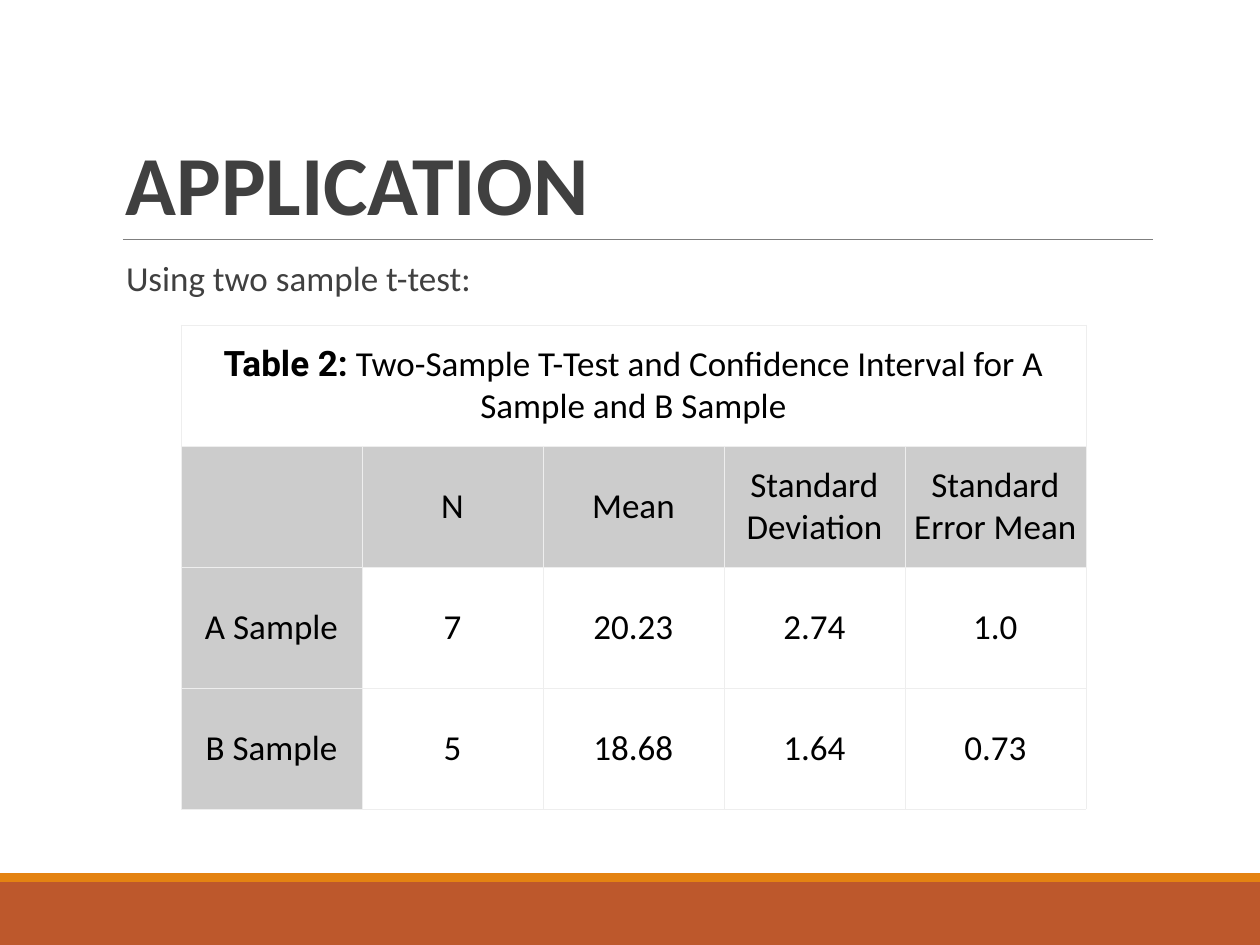
from dataclasses import dataclass
from typing import NamedTuple

from lxml.etree import SubElement
from pptx import Presentation
from pptx.dml.color import RGBColor as Rgb
from pptx.enum.shapes import MSO_CONNECTOR as Conn, MSO_SHAPE as Shape
from pptx.enum.text import MSO_ANCHOR as Anchor, MSO_AUTO_SIZE as Auto, PP_ALIGN as Align
from pptx.oxml.ns import qn
from pptx.util import Emu, Pt

SCALE = 914400 / 126


@dataclass(frozen=True)
class Theme:
    rust: str = "BD582C"
    amber: str = "E48312"
    rule: str = "7F7F7F"
    ink: str = "404040"
    black: str = "000000"
    head: str = "CCCCCC"
    grid: str = "EEEEEE"
    font: str = "Calibri"
    label: str = "Roboto"
    title: int = 48
    body: int = 20


class Box(NamedTuple):
    x: int
    y: int
    w: int
    h: int


class Bar(NamedTuple):
    box: Box
    color: str


THEME = Theme()
BARS = [
    Bar(Box(0, 882, 1260, 63), THEME.rust),
    Bar(Box(0, 873, 1260, 9), THEME.amber),
]
LABEL = "Table 2:"
CAPTION = " Two-Sample T-Test and Confidence Interval for A Sample and B Sample"
ROWS = [
    ["", "N", "Mean", "Standard Deviation", "Standard Error Mean"],
    ["A Sample", "7", "20.23", "2.74", "1.0"],
    ["B Sample", "5", "18.68", "1.64", "0.73"],
]
COL, ROW = 181, 121


def px(n: int) -> Emu:
    return Emu(round(n * SCALE))


def place(shape, box: Box) -> None:
    shape.left, shape.top, shape.width, shape.height = map(px, box)


def style(run, size: int, color: str, bold: bool = False, font: str = THEME.font) -> None:
    run.font.name, run.font.size, run.font.bold = font, Pt(size), bold
    run.font.color.rgb = Rgb.from_string(color)


def draw_bar(slide, bar: Bar) -> None:
    shape = slide.shapes.add_shape(Shape.RECTANGLE, *map(px, bar.box))
    shape.shadow.inherit = False
    shape.fill.solid()
    shape.fill.fore_color.rgb = Rgb.from_string(bar.color)
    shape.line.fill.background()


def draw_rule(slide, x: int, y: int, end: int) -> None:
    line = slide.shapes.add_connector(Conn.STRAIGHT, px(x), px(y), px(end), px(y))
    line.line.color.rgb = Rgb.from_string(THEME.rule)
    line.line.width = Pt(0.5)
    SubElement(line._element.spPr, qn("a:effectLst"))


def set_title(shape, text: str) -> None:
    place(shape, Box(113, 39, 1040, 200))
    frame = shape.text_frame
    frame.text = text
    frame.auto_size, frame.vertical_anchor = Auto.NONE, Anchor.BOTTOM
    para = frame.paragraphs[0]
    para.alignment, para.line_spacing = Align.LEFT, 0.85
    style(para.runs[0], THEME.title, THEME.ink, True)


def set_body(shape, text: str) -> None:
    place(shape, Box(113, 255, 1040, 554))
    frame = shape.text_frame
    frame.text = text
    frame.auto_size, frame.vertical_anchor = Auto.NONE, Anchor.TOP
    frame.margin_left = frame.margin_right = 0
    para = frame.paragraphs[0]
    para.line_spacing, para.space_before, para.space_after = 0.9, Pt(0), Pt(2)
    props = para._p.get_or_add_pPr()
    props.set("marL", str(px(13)))
    props.set("indent", str(px(-13)))
    tint = SubElement(props, qn("a:buClr"))
    SubElement(tint, qn("a:srgbClr"), val=THEME.amber)
    SubElement(props, qn("a:buChar"), char=" ")
    style(para.runs[0], THEME.body, THEME.ink)


def set_cell(cell, text: str, shade: bool) -> None:
    props = cell._tc.get_or_add_tcPr()
    for side in ("lnL", "lnR", "lnT", "lnB"):
        edge = SubElement(props, qn(f"a:{side}"), w=str(Pt(0.34)))
        fill = SubElement(edge, qn("a:solidFill"))
        SubElement(fill, qn("a:srgbClr"), val=THEME.grid)
    if shade:
        cell.fill.solid()
        cell.fill.fore_color.rgb = Rgb.from_string(THEME.head)
    else:
        cell.fill.background()
    cell.vertical_anchor = Anchor.MIDDLE
    cell.margin_left = cell.margin_right = px(3)
    cell.margin_top = cell.margin_bottom = px(6)
    cell.text_frame.text = text
    para = cell.text_frame.paragraphs[0]
    para.alignment = Align.CENTER
    for run in para.runs:
        style(run, THEME.body, THEME.black)


def draw_table(slide, x: int, y: int) -> None:
    cols, rows = len(ROWS[0]), len(ROWS) + 1
    box = Box(x, y, COL * cols, ROW * rows)
    table = slide.shapes.add_table(rows, cols, *map(px, box)).table
    table.first_row = table.horz_banding = False
    for col in table.columns:
        col.width = px(COL)
    for row in table.rows:
        row.height = px(ROW)
    for r, line in enumerate([[LABEL] + [""] * (cols - 1)] + ROWS):
        for c, text in enumerate(line):
            set_cell(table.cell(r, c), text, r == 1 or (r > 1 and c == 0))
    top = table.cell(0, 0)
    top.merge(table.cell(0, cols - 1))
    para = top.text_frame.paragraphs[0]
    style(para.runs[0], THEME.body, THEME.black, True, THEME.label)
    rest = para.add_run()
    rest.text = CAPTION
    style(rest, THEME.body, THEME.black)


def main() -> None:
    deck = Presentation()
    deck.slide_width, deck.slide_height = px(1260), px(945)
    slide = deck.slides.add_slide(deck.slide_layouts[1])
    for bar in BARS:
        draw_bar(slide, bar)
    draw_rule(slide, 123, 239, 1153)
    set_title(slide.shapes.title, "APPLICATION")
    set_body(slide.placeholders[1], "Using two sample t-test:")
    draw_table(slide, 181, 325)
    deck.save("out.pptx")


if __name__ == "__main__":
    main()
